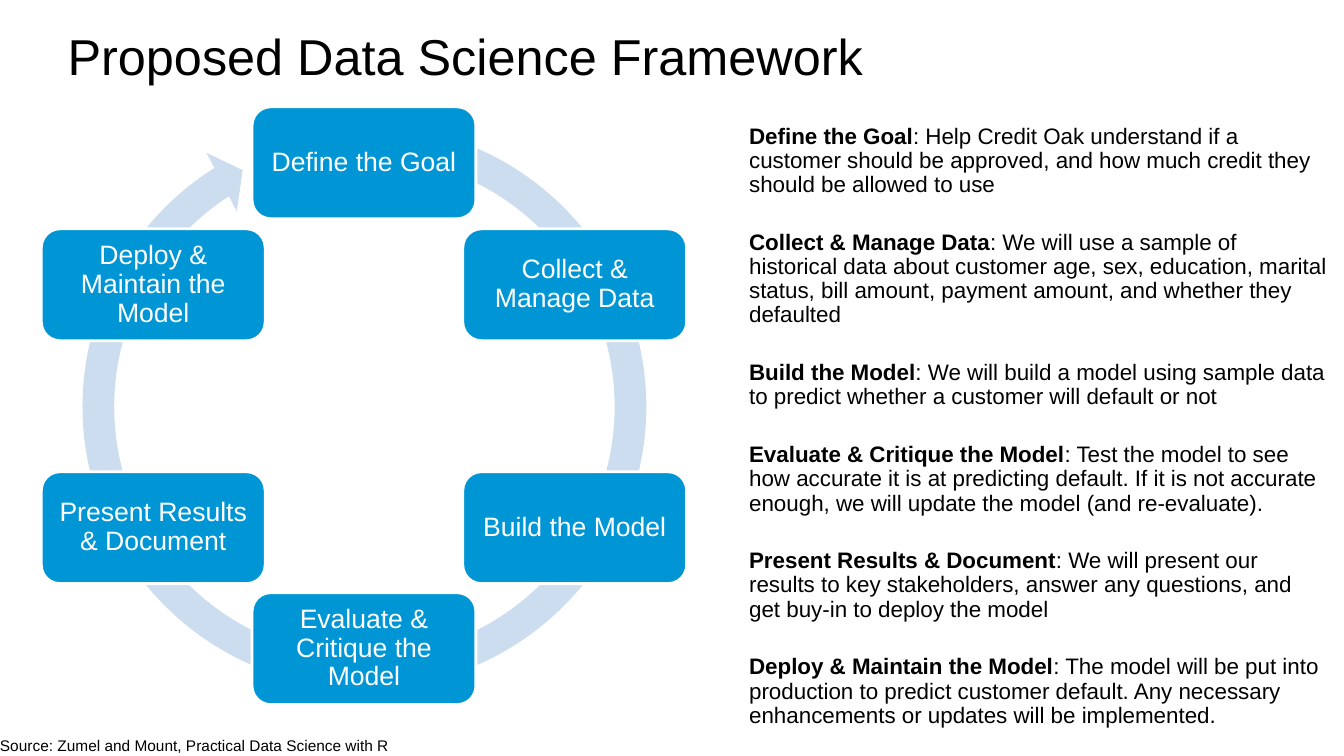
from dataclasses import dataclass
from math import cos, radians, sin

from lxml.etree import SubElement
from pptx import Presentation
from pptx.dml.color import RGBColor
from pptx.enum.shapes import MSO_SHAPE as Shape
from pptx.enum.text import MSO_ANCHOR as Anchor, MSO_AUTO_SIZE as AutoSize, PP_ALIGN as Align
from pptx.oxml.ns import qn
from pptx.util import Emu, Pt

PX = 9144  # 100 px to the inch
COLOURS = {"text": "000000", "node": "0096D6", "ring": "CCDDF0", "white": "FFFFFF"}
FONT = "Arial"

RING_CENTRE = (361, 403)
RING_SIZE = 593
NODE_RADIUS = 241
NODE_SIZE = (222, 111)
NODE_INSET = 8
DEGREE = 0.6  # one degree in units of an adjustment value


@dataclass(frozen=True)
class Box:
    left: int
    top: int
    width: int
    height: int

    def emu(self) -> tuple:
        return tuple(Emu(side * PX) for side in (self.left, self.top, self.width, self.height))


@dataclass(frozen=True)
class Stage:
    name: str
    detail: str


STAGES = [
    Stage("Define the Goal",
          "Help Credit Oak understand if a customer should be approved, "
          "and how much credit they should be allowed to use"),
    Stage("Collect & Manage Data",
          "We will use a sample of historical data about customer age, sex, education, "
          "marital status, bill amount, payment amount, and whether they defaulted"),
    Stage("Build the Model",
          "We will build a model using sample data to predict whether a customer "
          "will default or not"),
    Stage("Evaluate & Critique the Model",
          "Test the model to see how accurate it is at predicting default. "
          "If it is not accurate enough, we will update the model (and re-evaluate)."),
    Stage("Present Results & Document",
          "We will present our results to key stakeholders, answer any questions, "
          "and get buy-in to deploy the model"),
    Stage("Deploy & Maintain the Model",
          "The model will be put into production to predict customer default. "
          "Any necessary enhancements or updates will be implemented."),
]


def colour(name: str) -> RGBColor:
    return RGBColor.from_string(COLOURS[name])


def apply(target, values: dict) -> None:
    for name, value in values.items():
        setattr(target, name, value)


def place(shape, box: Box) -> None:
    apply(shape, dict(zip(("left", "top", "width", "height"), box.emu())))


def set_frame(frame, anchor, inset: int = 0) -> None:
    sides = ("left", "top", "right", "bottom")
    apply(frame, {f"margin_{side}": Emu(inset * PX) for side in sides})
    apply(frame, {"word_wrap": True, "auto_size": AutoSize.NONE, "vertical_anchor": anchor})


def write(para, text: str, size: int, ink: str = "text", bold: bool = False,
          align=Align.LEFT, before: int = 0) -> None:
    """Add one run and set the format of its paragraph."""
    apply(para, {"alignment": align, "line_spacing": 0.9,
                 "space_before": Pt(before), "space_after": Pt(0)})
    span = para.add_run()
    span.text = text
    apply(span.font, {"name": FONT, "size": Pt(size), "bold": bold})
    span.font.color.rgb = colour(ink)


def remove_bullet(para) -> None:
    properties = para._p.get_or_add_pPr()
    properties.set("marL", "0")
    properties.set("indent", "0")
    SubElement(properties, qn("a:buNone"))


def add_filled(page, kind, box: Box, fill: str):
    shape = page.shapes.add_shape(kind, *box.emu())
    shape.shadow.inherit = False
    shape.fill.solid()
    shape.fill.fore_color.rgb = colour(fill)
    shape.line.fill.background()
    return shape


def add_ring(page) -> None:
    x, y = RING_CENTRE
    half = RING_SIZE // 2
    ring = add_filled(page, Shape.CIRCULAR_ARROW,
                      Box(x - half, y - half, RING_SIZE, RING_SIZE), "ring")
    values = (0.053, 5.21 * DEGREE, 237.56 * DEGREE, 285.2 * DEGREE, 0.055)
    for index, value in enumerate(values):
        ring.adjustments[index] = value


def add_node(page, stage: Stage, angle: float) -> None:
    """Place a stage on the ring, with the angle clockwise from the top."""
    width, height = NODE_SIZE
    x = RING_CENTRE[0] + NODE_RADIUS * sin(radians(angle))
    y = RING_CENTRE[1] - NODE_RADIUS * cos(radians(angle))
    box = Box(round(x - width / 2), round(y - height / 2), width, height)
    node = add_filled(page, Shape.ROUNDED_RECTANGLE, box, "node")
    node.line.color.rgb = colour("white")
    node.line.width = Pt(2)
    set_frame(node.text_frame, Anchor.MIDDLE, NODE_INSET)
    write(node.text_frame.paragraphs[0], stage.name, 19, "white", align=Align.CENTER)


def add_details(body) -> None:
    place(body, Box(743, 124, 574, 557))
    frame = body.text_frame
    set_frame(frame, Anchor.TOP)
    for index, stage in enumerate(STAGES):
        para = frame.add_paragraph() if index else frame.paragraphs[0]
        write(para, stage.name, 16, bold=True, before=24)
        write(para, f": {stage.detail}", 16, before=24)
        remove_bullet(para)


def main() -> None:
    deck = Presentation()
    deck.slide_width, deck.slide_height = Emu(1333 * PX), Emu(750 * PX)
    page = deck.slides.add_slide(deck.slide_layouts[1])
    title, body = page.placeholders

    place(title, Box(67, 40, 1200, 46))
    set_frame(title.text_frame, Anchor.BOTTOM)
    write(title.text_frame.paragraphs[0], "Proposed Data Science Framework", 36)

    add_ring(page)
    for index, stage in enumerate(STAGES):
        add_node(page, stage, index * 360 / len(STAGES))
    add_details(body)

    source = page.shapes.add_textbox(*Box(0, 732, 820, 18).emu())
    set_frame(source.text_frame, Anchor.TOP)
    write(source.text_frame.paragraphs[0],
          "Source: Zumel and Mount, Practical Data Science with R", 11)
    deck.save("out.pptx")


if __name__ == "__main__":
    main()
